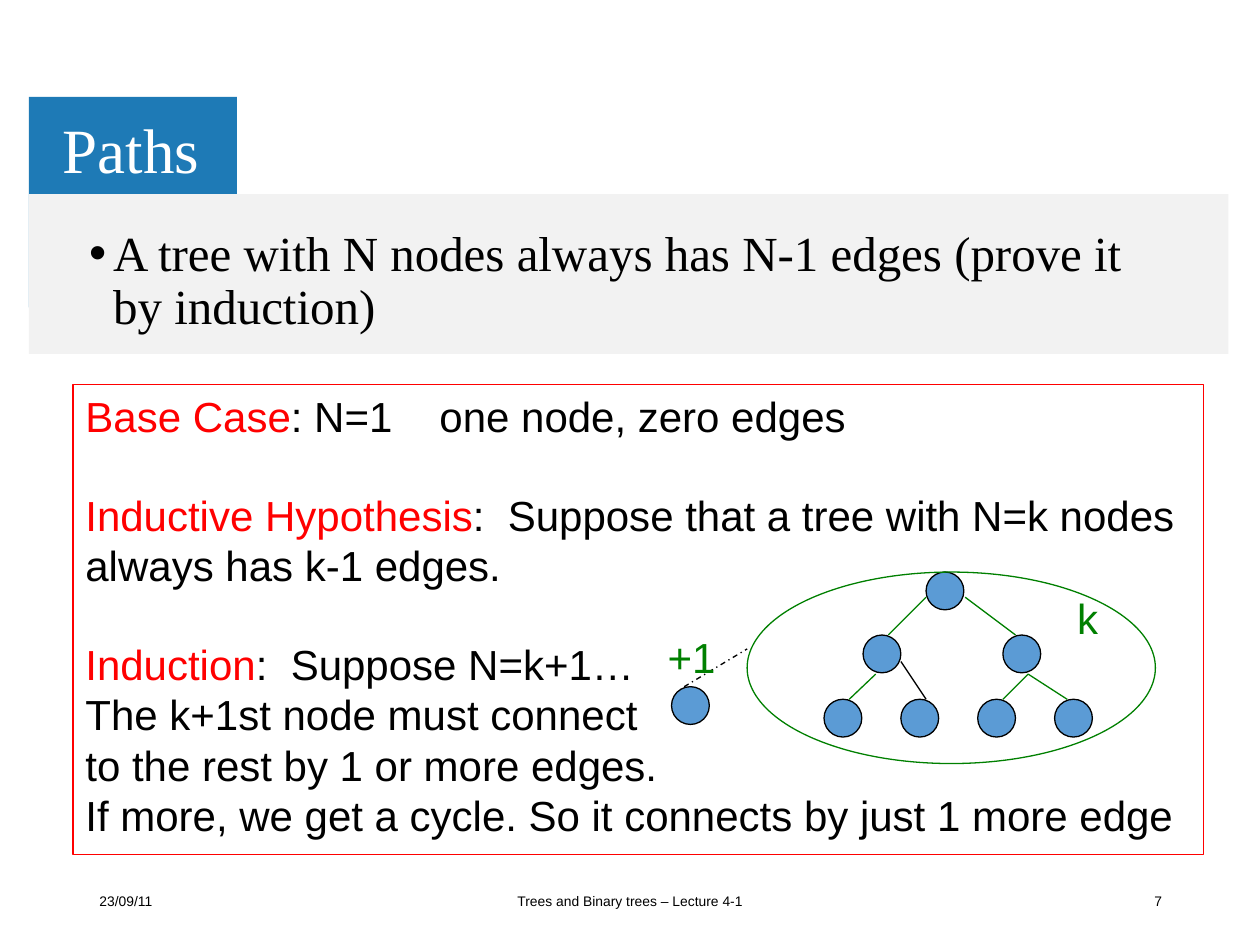
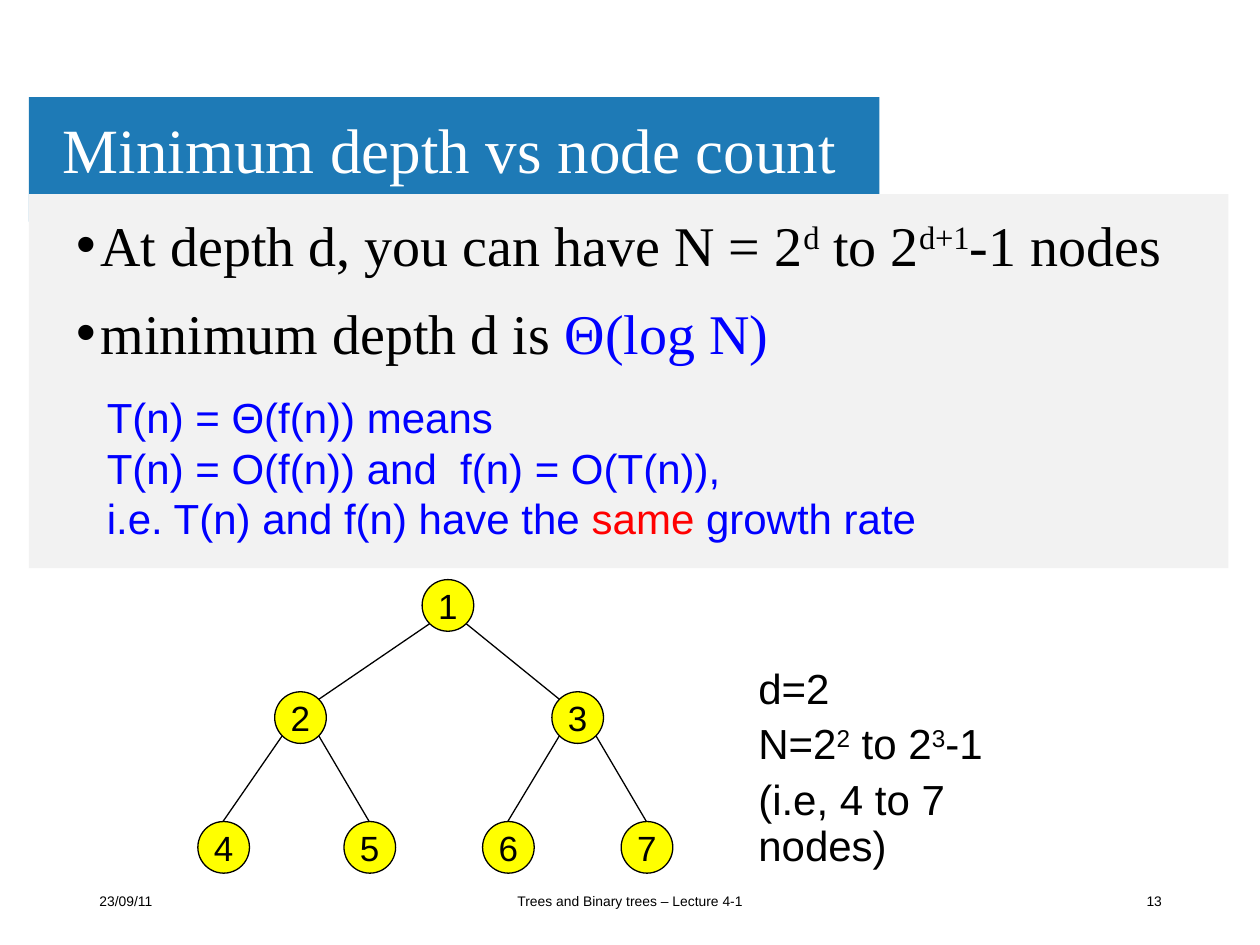
import pptx
import pptx.util
import pptx.dml.color
import pptx.enum.dml
import pptx.enum.shapes
import pptx.enum.text
import pptx.oxml.ns
from lxml import etree

RGBColor = pptx.dml.color.RGBColor
Pt = pptx.util.Pt
qn = pptx.oxml.ns.qn
MSO_SHAPE = pptx.enum.shapes.MSO_SHAPE
PP_ALIGN = pptx.enum.text.PP_ALIGN
MSO_ANCHOR = pptx.enum.text.MSO_ANCHOR

PX = 9144
SERIF, SANS = "Times New Roman", "Arial"
BLACK = RGBColor(0x00, 0x00, 0x00)
WHITE = RGBColor(0xFF, 0xFF, 0xFF)
RED = RGBColor(0xFF, 0x00, 0x00)
BLUE = RGBColor(0x00, 0x00, 0xFF)
GREEN = RGBColor(0x00, 0x80, 0x00)
YELLOW = RGBColor(0xFF, 0xFF, 0x00)
TITLE_BAND = RGBColor(0x1E, 0x7A, 0xB6)
BODY_BAND = RGBColor(0xF2, 0xF2, 0xF2)
NODE_BLUE = RGBColor(0x5B, 0x9B, 0xD5)


def emu(*lengths):
    return [length * PX for length in lengths]


def add_shape(slide, kind, box, fill=None, line=None):
    sp = slide.shapes.add_shape(kind, *emu(*box))
    sp.shadow.inherit = False
    if fill is None:
        sp.fill.background()
    else:
        sp.fill.solid()
        sp.fill.fore_color.rgb = fill
    if line is None:
        sp.line.fill.background()
    else:
        sp.line.color.rgb = line
        sp.line.width = Pt(0.75)
    return sp


def add_run(p, text, size, font, color, superscript=False):
    r = p.add_run()
    r.text = text
    r.font.size = Pt(size)
    r.font.name = font
    r.font.color.rgb = color
    if superscript:
        r.font._element.set("baseline", "30000")


def add_bullet(p):
    pPr = p._p.get_or_add_pPr()
    pPr.set("marL", str(19 * PX))
    pPr.set("indent", str(-19 * PX))
    etree.SubElement(pPr, qn("a:buFont")).set("typeface", SANS)
    etree.SubElement(pPr, qn("a:buChar")).set("char", "•")


def add_tab_stop(p, position):
    tabs = etree.SubElement(p._p.get_or_add_pPr(), qn("a:tabLst"))
    tab = etree.SubElement(tabs, qn("a:tab"))
    tab.set("pos", str(position * PX))
    tab.set("algn", "l")


def write(sp, paragraphs, size, font=SANS, color=BLACK, align=PP_ALIGN.LEFT,
          anchor=MSO_ANCHOR.TOP, wrap=True, bullet=False, spacing=None, gap=None):
    tf = sp.text_frame
    tf.word_wrap = wrap
    tf.vertical_anchor = anchor
    for i, runs in enumerate(paragraphs):
        p = tf.paragraphs[0] if i == 0 else tf.add_paragraph()
        if bullet:
            add_bullet(p)
        p.alignment = align
        if spacing:
            p.line_spacing = spacing
        if gap and i:
            p.space_before = Pt(gap)
        for text, *style in runs:
            run_color = style[0] if style and style[0] is not None else color
            add_run(p, text, size, font, run_color, "sup" in style)
    return tf


def add_text(slide, box, paragraphs, size, **style):
    return write(slide.shapes.add_textbox(*emu(*box)), paragraphs, size, **style)


def add_edge(slide, start, end, color=BLACK, dash=None):
    cx = slide.shapes.add_connector(
        pptx.enum.shapes.MSO_CONNECTOR.STRAIGHT, *emu(*start, *end))
    cx.line.color.rgb = color
    cx.line.width = Pt(0.75)
    if dash:
        cx.line.dash_style = dash
    etree.SubElement(cx._element.spPr, qn("a:effectLst"))


def add_node(slide, x, y, size, fill, label=None):
    sp = add_shape(slide, MSO_SHAPE.OVAL, (x, y, size, size), fill, BLACK)
    if label:
        write(sp, [[(label,)]], 20, align=PP_ALIGN.CENTER,
              anchor=MSO_ANCHOR.MIDDLE, wrap=False)


def add_base_slide(prs, title, title_band, body_height, number):
    slide = prs.slides.add_slide(prs.slide_layouts[6])
    add_shape(slide, MSO_SHAPE.RECTANGLE, (23, 77, *title_band), TITLE_BAND)
    add_shape(slide, MSO_SHAPE.RECTANGLE, (23, 154, 952, body_height), BODY_BAND)
    add_text(slide, (40, 82, 701, 79), [[(title,)]], 36, font=SERIF, color=WHITE,
             anchor=MSO_ANCHOR.MIDDLE, spacing=0.9)
    footers = [
        (69, 225, "23/09/11", PP_ALIGN.LEFT),
        (331, 338, "Trees and Binary trees – Lecture 4-1", PP_ALIGN.CENTER),
        (707, 225, number, PP_ALIGN.RIGHT),
    ]
    for x, width, text, align in footers:
        add_text(slide, (x, 695, width, 40), [[(text,)]], 7.9, align=align,
                 anchor=MSO_ANCHOR.MIDDLE)
    return slide


def add_proof(slide):
    sp = add_shape(slide, MSO_SHAPE.RECTANGLE, (58, 305, 897, 373), line=RED)
    tf = write(sp, [
        [("Base Case", RED), (": N=1\tone node, zero edges",)],
        [("Inductive Hypothesis", RED),
         (":  Suppose that a tree with N=k nodes always has k-1 edges.",)],
        [("Induction", RED), (":  Suppose N=k+1…",)],
        [("The k+1st node must connect",)],
        [("to the rest by 1 or more edges.",)],
        [("If more, we get a cycle. So it connects by just 1 more edge",)],
    ], 24)
    add_tab_stop(tf.paragraphs[0], 281)
    for p in tf.paragraphs[1:3]:
        p.space_before = Pt(27.6)


def add_induction_tree(slide):
    nodes = [(735, 454), (685, 504), (796, 504)]
    nodes += [(654 + 61 * i, 555) for i in range(4)]
    for x, y in nodes:
        add_node(slide, x, y, 30, NODE_BLUE)
    edges = [
        ((735, 474), (705, 504), GREEN),
        ((695, 535), (674, 555), GREEN),
        ((715, 525), (735, 555), BLACK),
        ((766, 474), (806, 504), GREEN),
        ((816, 535), (796, 555), GREEN),
        ((816, 535), (847, 555), GREEN),
    ]
    for start, end, color in edges:
        add_edge(slide, start, end, color)
    add_shape(slide, MSO_SHAPE.OVAL, (593, 454, 324, 152), line=GREEN)
    add_node(slide, 533, 545, 30, NODE_BLUE)
    add_edge(slide, (543, 545), (593, 515), dash=pptx.enum.dml.MSO_LINE.DASH_DOT)
    add_text(slide, (845, 465, 60, 50), [[("k",)]], 24, color=GREEN)
    add_text(slide, (520, 496, 82, 50), [[("+1",)]], 24, color=GREEN)


def add_numbered_tree(slide):
    size, near, far = 41, 6, 35
    nodes = {1: (335, 460), 2: (218, 549), 3: (438, 549), 4: (157, 652),
             5: (273, 652), 6: (383, 652), 7: (493, 652)}
    for number, (x, y) in nodes.items():
        add_node(slide, x, y, size, YELLOW, str(number))
    for child in range(2, 8):
        px, py = nodes[child // 2]
        cx, cy = nodes[child]
        is_left = child % 2 == 0
        start = (px + (near if is_left else far), py + far)
        if child < 4:
            end = (cx + (far if is_left else near), cy + near)
        else:
            end = (cx + size // 2, cy)
        add_edge(slide, start, end)


def add_paths_slide(prs):
    slide = add_base_slide(prs, "Paths", (165, 167), 127, "7")
    add_text(slide, (61, 177, 862, 108),
             [[("A tree with N nodes always has N-1 edges (prove it by induction)",)]],
             28, font=SERIF, bullet=True, spacing=0.9)
    add_proof(slide)
    add_induction_tree(slide)


def add_depth_slide(prs):
    slide = add_base_slide(prs, "Minimum depth vs node count", (675, 99), 297, "13")
    add_text(slide, (51, 162, 890, 136), [
        [("At depth d, you can have N = 2",), ("d", None, "sup"), (" to 2",),
         ("d+1", None, "sup"), ("-1 nodes",)],
        [("minimum depth d is ",), ("Θ(log N)", BLUE)],
    ], 32, font=SERIF, bullet=True, gap=12)
    add_numbered_tree(slide)
    add_text(slide, (75, 306, 757, 131), [
        [("T(n) = Θ(f(n)) means",)],
        [("T(n) = O(f(n)) and  f(n) = O(T(n)),",)],
        [("i.e. T(n) and f(n) have the ",), ("same ", RED), ("growth rate",)],
    ], 24, color=BLUE)
    add_text(slide, (592, 525, 279, 175), [
        [("d=2",)],
        [("N=2",), ("2", None, "sup"), (" to 2",), ("3", None, "sup"), ("-1",)],
        [("(i.e, 4 to 7 nodes)",)],
    ], 24, wrap=False, spacing=0.9, gap=6)


def main():
    prs = pptx.Presentation()
    prs.slide_width, prs.slide_height = emu(1000, 750)
    add_paths_slide(prs)
    add_depth_slide(prs)
    prs.save("out.pptx")


if __name__ == "__main__":
    main()
